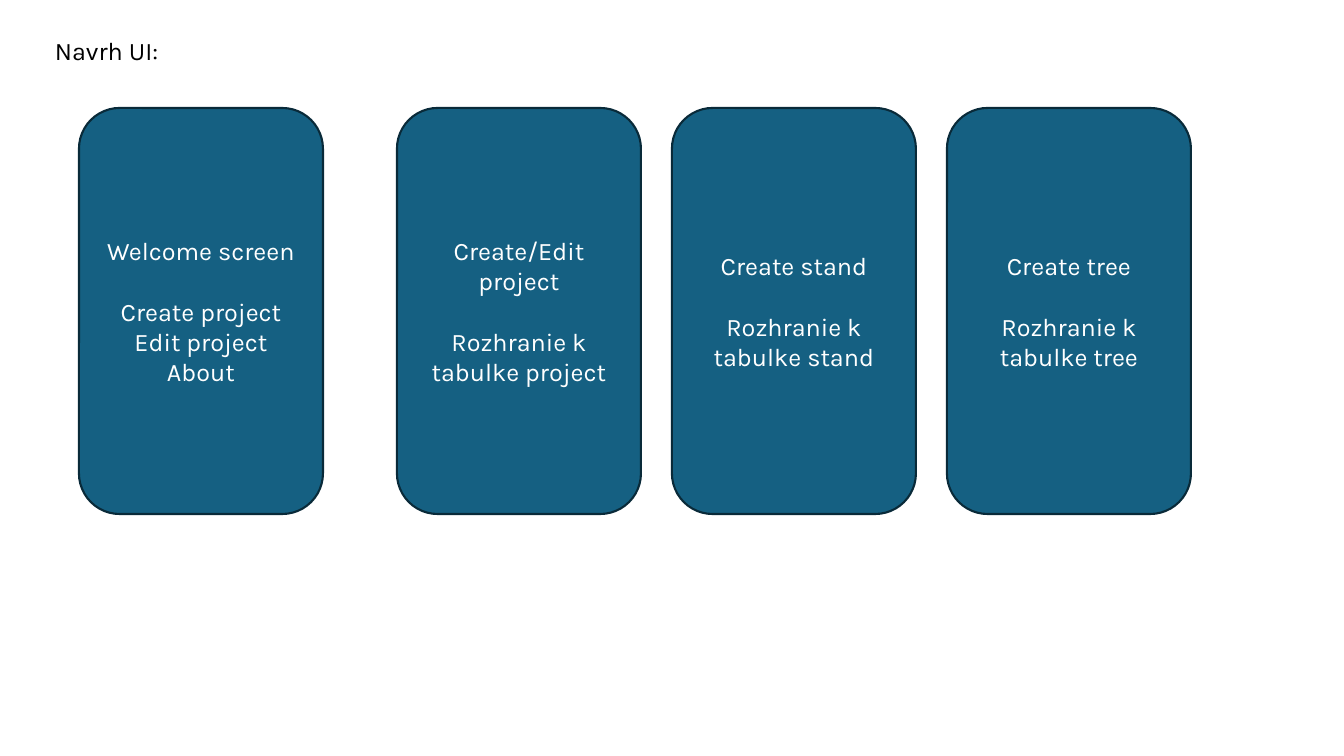
"""Builds a slide with a row of four proposed UI screens."""
from pptx import Presentation
from pptx.dml.color import RGBColor
from pptx.enum.shapes import MSO_SHAPE
from pptx.enum.text import MSO_ANCHOR, MSO_AUTO_SIZE, PP_ALIGN
from pptx.util import Emu, Pt


def px(count):
    return Emu(round(count * 914400 / 100.8))


def style_font(font, color):
    font.name = "Karla"
    font.size = Pt(18)
    font.color.rgb = RGBColor.from_string(color)


SCREEN_TOP, SCREEN_WIDTH, SCREEN_HEIGHT = 108, 244, 406
FIRST_EDITOR_LEFT, EDITOR_PITCH = 397, 275
HEADING_GAP = Pt(21.6)

editors = [
    ("Create/Edit project", ["Rozhranie k tabulke project"]),
    ("Create stand", ["Rozhranie k tabulke stand"]),
    ("Create tree", ["Rozhranie k tabulke tree"]),
]
screens = [(79, "Welcome screen", ["Create project", "Edit project", "About"])]
for index, (heading, details) in enumerate(editors):
    screens.append((FIRST_EDITOR_LEFT + index * EDITOR_PITCH, heading, details))

prs = Presentation()
prs.slide_width, prs.slide_height = px(1344), px(756)
slide = prs.slides.add_slide(prs.slide_layouts[6])

title = slide.shapes.add_textbox(px(45), px(30), px(127), px(40)).text_frame
title.word_wrap = False
title.auto_size = MSO_AUTO_SIZE.SHAPE_TO_FIT_TEXT
title.text = "Navrh UI:"
style_font(title.paragraphs[0].font, "000000")

for left, heading, details in screens:
    screen = slide.shapes.add_shape(
        MSO_SHAPE.ROUNDED_RECTANGLE,
        px(left), px(SCREEN_TOP), px(SCREEN_WIDTH), px(SCREEN_HEIGHT),
    )
    screen.shadow.inherit = False
    screen.fill.solid()
    screen.fill.fore_color.rgb = RGBColor.from_string("156082")
    screen.line.color.rgb = RGBColor.from_string("092A39")
    screen.line.width = Pt(1.5)

    content = screen.text_frame
    content.word_wrap = True
    content.vertical_anchor = MSO_ANCHOR.MIDDLE
    content.text = "\n".join([heading, *details])
    for paragraph in content.paragraphs:
        paragraph.alignment = PP_ALIGN.CENTER
        style_font(paragraph.font, "FFFFFF")
    content.paragraphs[1].space_before = HEADING_GAP

prs.save("out.pptx")
